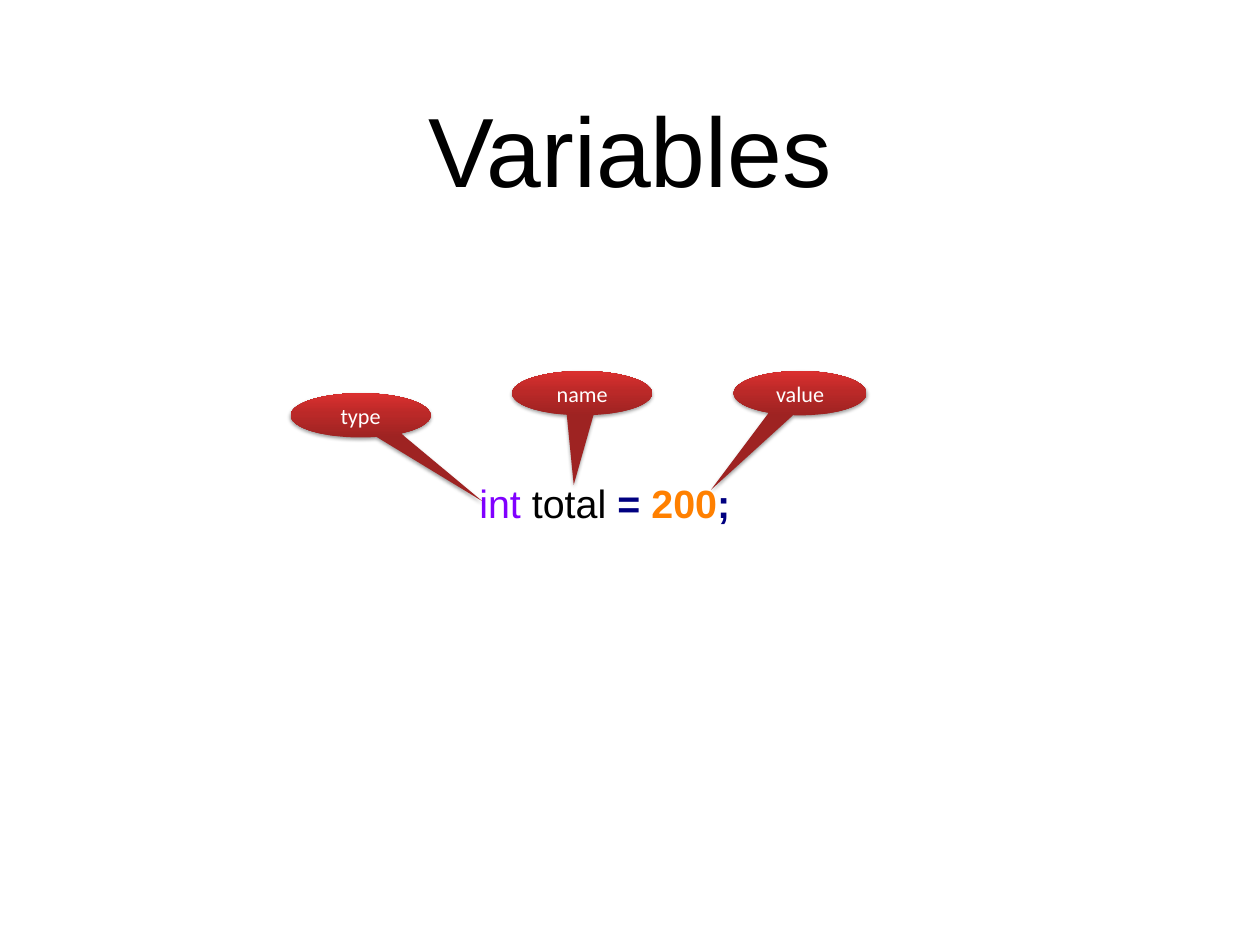
"""Build a slide that labels the parts of a variable declaration."""
from copy import deepcopy
from dataclasses import dataclass

from lxml import etree
from pptx import Presentation
from pptx import util as u
from pptx.dml.color import RGBColor
from pptx.enum import shapes, text
from pptx.oxml.ns import qn
from pptx.slide import Slide
from pptx.text.text import TextFrame

BLACK = RGBColor(0x00, 0x00, 0x00)
WHITE = RGBColor(0xFF, 0xFF, 0xFF)
PURPLE = RGBColor(0x80, 0x00, 0xFF)
NAVY = RGBColor(0x00, 0x00, 0x80)
ORANGE = RGBColor(0xFF, 0x80, 0x00)
RED_STOPS = (
    (0, RGBColor(0x9E, 0x23, 0x22)),
    (0.55, RGBColor(0xBB, 0x29, 0x28)),
    (1, RGBColor(0xDB, 0x30, 0x2F)),
)


@dataclass(frozen=True)
class Callout:
    label: str
    left: float
    top: float
    width: float
    tip: tuple[float, float]


@dataclass(frozen=True)
class Token:
    text: str
    color: RGBColor
    bold: bool = False


CALLOUTS = (
    Callout("value", 8.28, 4.19, 1.5, (-0.67, 2.18)),
    Callout("name", 5.78, 4.19, 1.58, (-0.06, 2.07)),
    Callout("type", 3.28, 4.44, 1.58, (0.87, 1.94)),
)
DECLARATION = (
    Token("int", PURPLE),
    Token(" total ", BLACK),
    Token("= ", NAVY, True),
    Token("200", ORANGE, True),
    Token(";", NAVY, True),
)


def set_margins(tf: TextFrame, inches: float) -> None:
    tf.margin_left = tf.margin_right = u.Inches(inches)
    tf.margin_top = tf.margin_bottom = u.Inches(inches)


def write_centred(tf: TextFrame, words: str, font: str, size: int, color: RGBColor) -> None:
    tf.vertical_anchor = text.MSO_ANCHOR.MIDDLE
    p = tf.paragraphs[0]
    p.text = words
    p.alignment = text.PP_ALIGN.CENTER
    p.font.name, p.font.size = font, u.Pt(size)
    p.font.color.rgb = color


def add_title(s: Slide) -> None:
    sp = s.shapes.title
    sp.left, sp.top = u.Inches(1.04), u.Inches(0.49)
    sp.width, sp.height = u.Inches(12.14), u.Inches(2.36)
    tf = sp.text_frame
    tf.auto_size = text.MSO_AUTO_SIZE.NONE
    set_margins(tf, 0.06)
    write_centred(tf, "Variables", "Arial", 80, BLACK)


def add_declaration(s: Slide) -> None:
    sp = s.shapes.add_textbox(u.Inches(5.36), u.Inches(5.36), u.Inches(3.58), u.Inches(1.11))
    tf = sp.text_frame
    tf.word_wrap = True
    set_margins(tf, 0.05)
    p = tf.paragraphs[0]
    p.font.name, p.font.size = "Arial", u.Pt(32)
    for token in DECLARATION:
        r = p.add_run()
        r.text = token.text
        r.font.name, r.font.size = "Arial", u.Pt(32)
        r.font.bold = token.bold
        r.font.color.rgb = token.color


def add_callout(s: Slide, callout: Callout) -> None:
    sp = s.shapes.add_shape(
        shapes.MSO_SHAPE.OVAL_CALLOUT,
        u.Inches(callout.left), u.Inches(callout.top), u.Inches(callout.width), u.Inches(0.5),
    )
    sp.adjustments[0], sp.adjustments[1] = callout.tip
    sp.line.fill.background()

    sp.fill.gradient()
    sp.fill.gradient_angle = 90
    gs_list = sp._element.spPr.find(f".//{qn('a:gsLst')}")
    gs_list.append(deepcopy(gs_list[0]))
    for stop, (position, color) in zip(sp.fill.gradient_stops, RED_STOPS):
        stop.position = position
        stop.color.rgb = color

    sp.shadow.inherit = False
    effects = sp._element.spPr.find(qn("a:effectLst"))
    shadow = etree.SubElement(
        effects, qn("a:outerShdw"), blurRad=str(u.Pt(3)), dist=str(u.Pt(2)),
        dir="5400000", rotWithShape="0",
    )
    shade = etree.SubElement(shadow, qn("a:srgbClr"), val=str(BLACK))
    etree.SubElement(shade, qn("a:alpha"), val="38000")

    tf = sp.text_frame
    tf.word_wrap = False
    set_margins(tf, 0)
    write_centred(tf, callout.label, "Calibri", 18, WHITE)


def main() -> None:
    prs = Presentation()
    prs.slide_width, prs.slide_height = u.Inches(14.22), u.Inches(10.67)
    s = prs.slides.add_slide(prs.slide_layouts[5])
    add_title(s)
    add_declaration(s)
    for callout in CALLOUTS:
        add_callout(s, callout)
    prs.save("out.pptx")


if __name__ == "__main__":
    main()
